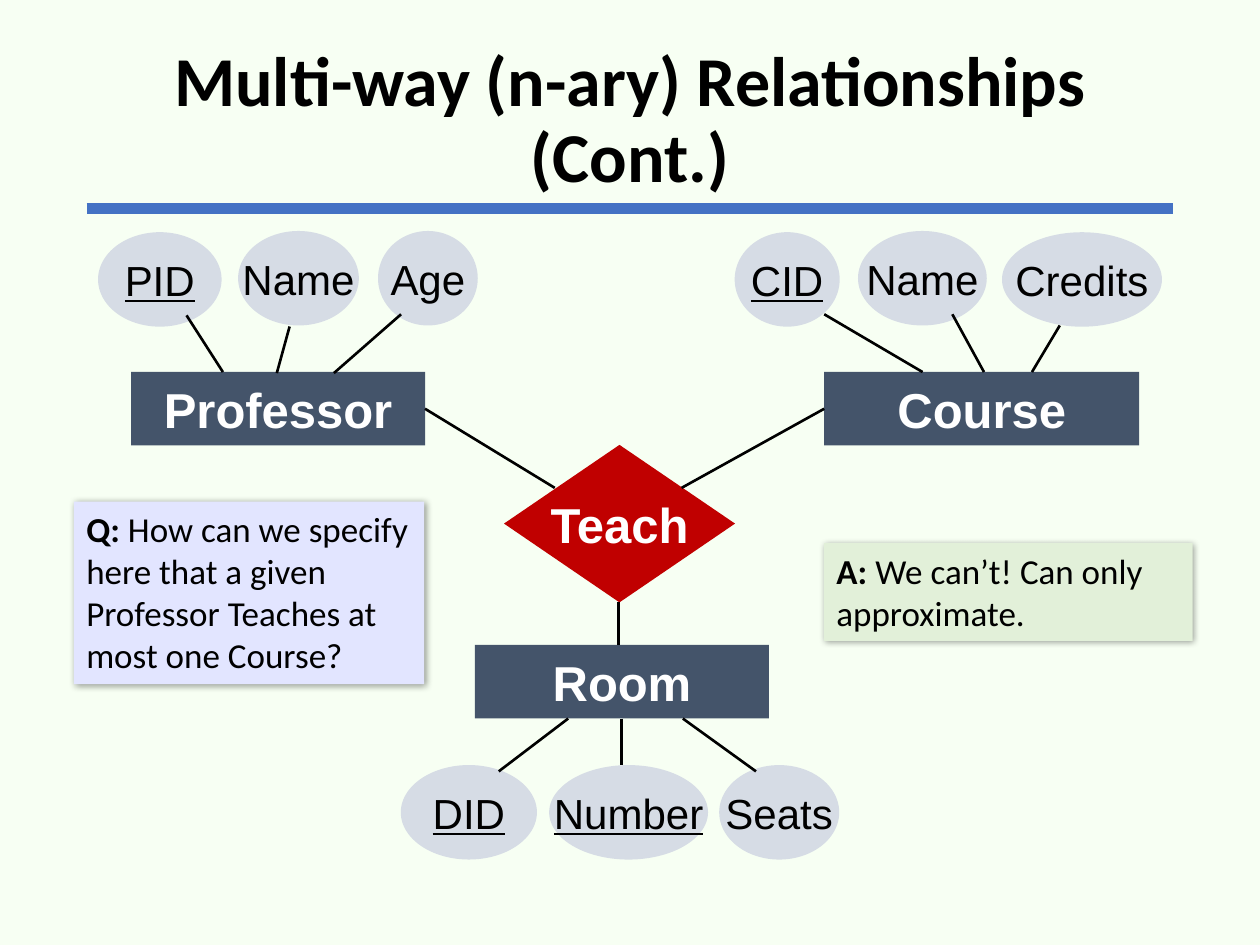
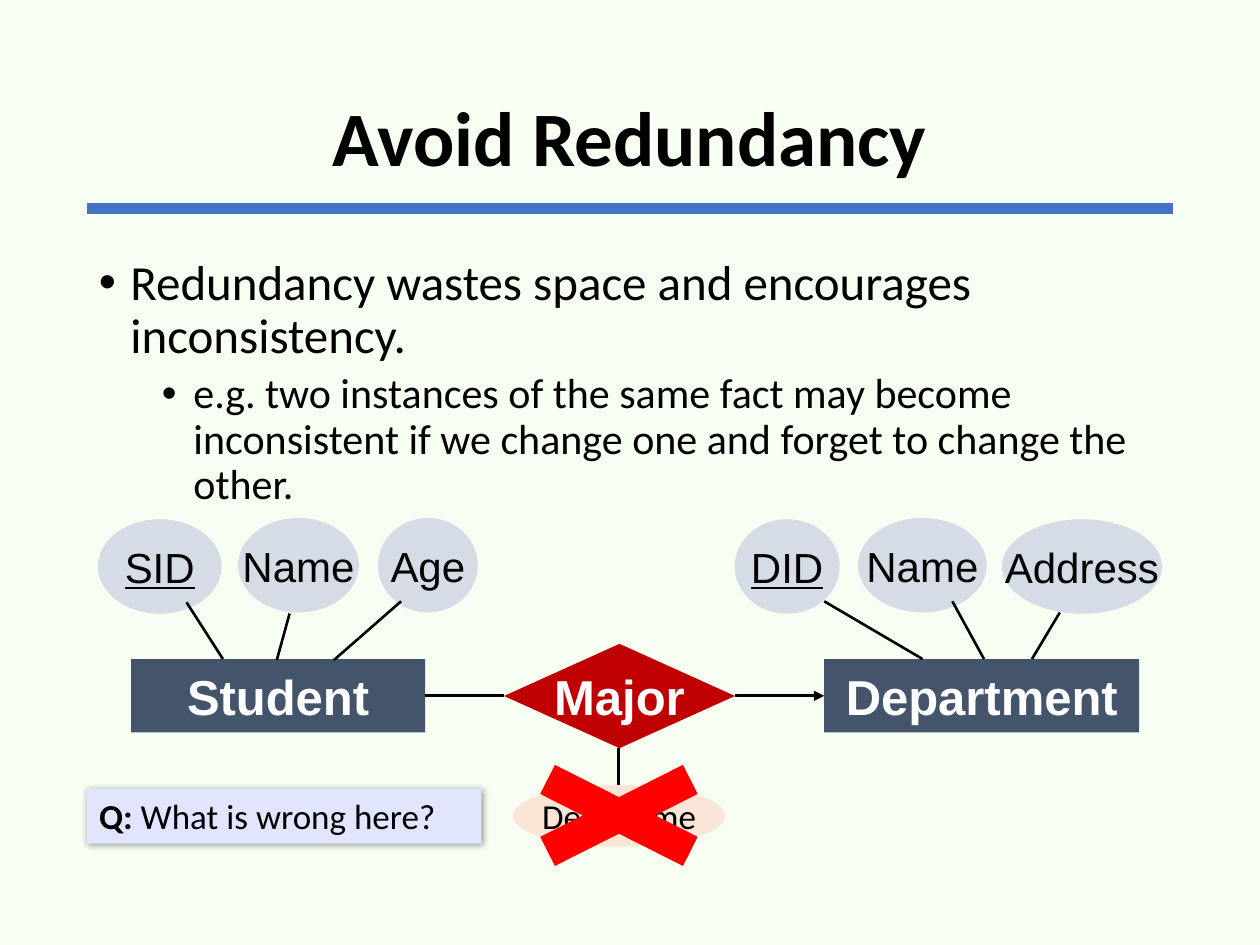
from lxml.etree import SubElement
from pptx import Presentation
from pptx.dml.color import RGBColor
from pptx.enum.shapes import MSO_CONNECTOR, MSO_SHAPE
from pptx.enum.text import MSO_ANCHOR, MSO_AUTO_SIZE, PP_ALIGN
from pptx.oxml.ns import qn
from pptx.util import Pt

COLORS = {
    "background": "F7FFF3", "rule": "4472C4", "black": "000000",
    "white": "FFFFFF", "entity": "44546A", "attribute": "D6DCE5",
    "relationship": "C00000", "question": "E2E5FF", "answer": "E2F0D9",
    "redundant": "FBE5D6", "cross": "FF0000",
}
ENTITY_HEIGHT = 42
ATTRIBUTE_HEIGHT = 54
PAGE_LEFT, PAGE_SPAN = 49.5, 621
DIAMOND_LEFT, DIAMOND_WIDTH = 288, 132
DIAMOND_CENTER = DIAMOND_LEFT + DIAMOND_WIDTH / 2

# Heights in each cluster count from the top of its entity.
LEFT = {
    "entity": (74.9, 168),
    "attributes": [(56, -79.9, 70.6), (136.1, -80.6, 69), (216, -80.6, 57)],
    "links": [(127.4, 0, 106.6, -32.4), (158.2, 0.6, 165.5, -26),
              (190.8, 0.6, 229.2, -33)],
}
RIGHT = {
    "entity": (471, 180),
    "attributes": [(419.8, -79.9, 60), (490.3, -80.6, 73.6), (572.6, -79.9, 91.4)],
    "links": [(527.2, 0, 471, -33), (562.3, 0, 544.2, -33),
              (589.7, 0, 605.6, -26.6)],
}
BOTTOM = {
    "entity": (271.4, 168),
    "attributes": [(229, 68.6, 77.8), (313.8, 68.6, 90.8), (411, 68.6, 68.6)],
    "links": [(324.7, 42, 285, 72.2), (355, 42, 355, 68.6),
              (390.2, 42, 432, 72.2)],
}

PAGES = [
    {
        "title": ("Multi-way (n-ary) Relationships (Cont.)", 40, 17.3),
        "bullets": [],
        "clusters": [
            (LEFT, 212.6, "Professor", ["PID", "Name", "Age"], {"PID"}),
            (RIGHT, 212.6, "Course", ["CID", "Name", "Credits"], {"CID"}),
            (BOTTOM, 368.6, "Room", ["DID", "Number", "Seats"], {"DID", "Number"}),
        ],
        "relationship": ("Teach", 254.2, 90),
        "links": [(471, 233.6, 389.5, 278.8, False),
                  (242.9, 233.6, 317, 278.8, False),
                  (353.6, 344.2, 353.6, 368.6, False)],
        "notes": [
            ("Q: ", "How can we specify here that a given Professor Teaches at "
             "most one Course?", "question", (42.2, 286.6, 200.2, 104.4)),
            ("A: ", "We can’t! Can only approximate.", "answer",
             (470.9, 310.4, 210.6, 55.8)),
        ],
        "redundant": None,
    },
    {
        "title": ("Avoid Redundancy", 44, 28.8),
        "bullets": [
            ("Redundancy wastes space and encourages inconsistency.", 28, 18, 0),
            ("e.g. two instances of the same fact may become inconsistent if we "
             "change one and forget to change the other.", 24, 54, 5),
        ],
        "clusters": [
            (LEFT, 376.6, "Student", ["SID", "Name", "Age"], {"SID"}),
            (RIGHT, 376.6, "Department", ["DID", "Name", "Address"], {"DID"}),
        ],
        "relationship": ("Major", 367.9, 59.6),
        "links": [(471, 397.6, 420, 397.6, True),
                  (242.9, 397.6, 288, 397.6, False),
                  (353.6, 448.6, 353.6, 427.6, False)],
        "notes": [("Q: ", "What is wrong here?", "question",
                   (49.5, 450.6, 225.6, 31.5))],
        "redundant": "DeptName",
    },
]


def color(name):
    return RGBColor.from_string(COLORS[name])


def add_span(para, text, size, font="Calibri", ink="black", bold=False,
             underline=False):
    span = para.add_run()
    span.text = text
    span.font.name = font
    span.font.size = Pt(size)
    span.font.color.rgb = color(ink)
    span.font.bold = bold
    if underline:
        span.font.underline = True


def add_figure(page, kind, place, fill):
    figure = page.shapes.add_shape(kind, *map(Pt, place))
    figure.shadow.inherit = False
    figure.fill.solid()
    figure.fill.fore_color.rgb = color(fill)
    figure.line.fill.background()
    return figure


def add_label(page, kind, place, fill, text, size, **style):
    frame = add_figure(page, kind, place, fill).text_frame
    frame.word_wrap = False
    frame.vertical_anchor = MSO_ANCHOR.MIDDLE
    para = frame.paragraphs[0]
    para.alignment = PP_ALIGN.CENTER
    add_span(para, text, size, **style)


def add_line(page, ends, ink="black", width=1.5, arrow=False):
    line = page.shapes.add_connector(MSO_CONNECTOR.STRAIGHT, *map(Pt, ends))
    line.line.color.rgb = color(ink)
    line.line.width = Pt(width)
    if arrow:
        SubElement(line.line._get_or_add_ln(), qn("a:headEnd"), type="triangle")
    SubElement(line._element.spPr, qn("a:effectLst"))


def add_frame(page, top, height):
    box = page.shapes.add_textbox(*map(Pt, (PAGE_LEFT, top, PAGE_SPAN, height)))
    box.text_frame.word_wrap = True
    return box.text_frame


def add_title(page, text, size, top):
    frame = add_frame(page, top, 104.4)
    frame.vertical_anchor = MSO_ANCHOR.MIDDLE
    para = frame.paragraphs[0]
    para.alignment = PP_ALIGN.CENTER
    para.line_spacing = 0.9
    add_span(para, text, size, bold=True)


def add_bullets(page, bullets):
    frame = add_frame(page, 143.8, 342.6)
    for index, (text, size, margin, before) in enumerate(bullets):
        para = frame.paragraphs[0] if index == 0 else frame.add_paragraph()
        para.level = index
        properties = para._p.get_or_add_pPr()
        properties.set("marL", str(Pt(margin)))
        properties.set("indent", str(Pt(-18)))
        SubElement(properties, qn("a:buFont"), typeface="Arial")
        SubElement(properties, qn("a:buChar"), char="•")
        para.line_spacing = 0.9
        if before:
            para.space_before = Pt(before)
        add_span(para, text, size)


def add_cluster(page, layout, top, name, attributes, keys):
    left, width = layout["entity"]
    add_label(page, MSO_SHAPE.RECTANGLE, (left, top, width, ENTITY_HEIGHT),
              "entity", name, 28, font="Arial", ink="white", bold=True)
    for text, (left, offset, width) in zip(attributes, layout["attributes"]):
        add_label(page, MSO_SHAPE.OVAL,
                  (left, top + offset, width, ATTRIBUTE_HEIGHT),
                  "attribute", text, 24, font="Arial", underline=text in keys)
    for x1, y1, x2, y2 in layout["links"]:
        add_line(page, (x1, top + y1, x2, top + y2))


def add_note(page, lead, text, fill, place):
    note = add_figure(page, MSO_SHAPE.RECTANGLE, place, fill)
    effects = note._element.spPr.find(qn("a:effectLst"))
    shadow = SubElement(effects, qn("a:outerShdw"), blurRad=str(Pt(4)),
                        dist=str(Pt(1)), dir="2700000", algn="tl",
                        rotWithShape="0")
    ink = SubElement(shadow, qn("a:srgbClr"), val=COLORS["black"])
    SubElement(ink, qn("a:alpha"), val="40000")
    frame = note.text_frame
    frame.word_wrap = True
    frame.auto_size = MSO_AUTO_SIZE.SHAPE_TO_FIT_TEXT
    frame.vertical_anchor = MSO_ANCHOR.TOP
    para = frame.paragraphs[0]
    para.alignment = PP_ALIGN.LEFT
    add_span(para, lead, 20, bold=True)
    add_span(para, text, 20)


def add_page(deck, content):
    page = deck.slides.add_slide(deck.slide_layouts[6])
    page.background.fill.solid()
    page.background.fill.fore_color.rgb = color("background")
    add_line(page, (PAGE_LEFT, 119.3, PAGE_LEFT + PAGE_SPAN, 119.3), "rule", 6)
    add_title(page, *content["title"])
    if content["bullets"]:
        add_bullets(page, content["bullets"])
    for cluster in content["clusters"]:
        add_cluster(page, *cluster)
    name, top, height = content["relationship"]
    add_label(page, MSO_SHAPE.DIAMOND, (DIAMOND_LEFT, top, DIAMOND_WIDTH, height),
              "relationship", name, 28, font="Arial", ink="white", bold=True)
    if content["redundant"]:
        add_label(page, MSO_SHAPE.OVAL, (DIAMOND_CENTER - 61, 448.6, 121.6, 35.2),
                  "redundant", content["redundant"], 20)
    for *ends, arrow in content["links"]:
        add_line(page, ends, arrow=arrow)
    for note in content["notes"]:
        add_note(page, *note)
    if content["redundant"]:
        add_figure(page, MSO_SHAPE.MATH_MULTIPLY,
                   (DIAMOND_CENTER - 78.8, 426.4, 157, 79.2), "cross")


def main():
    deck = Presentation()
    deck.slide_width, deck.slide_height = Pt(720), Pt(540)
    for content in PAGES:
        add_page(deck, content)
    deck.save("out.pptx")


if __name__ == "__main__":
    main()
